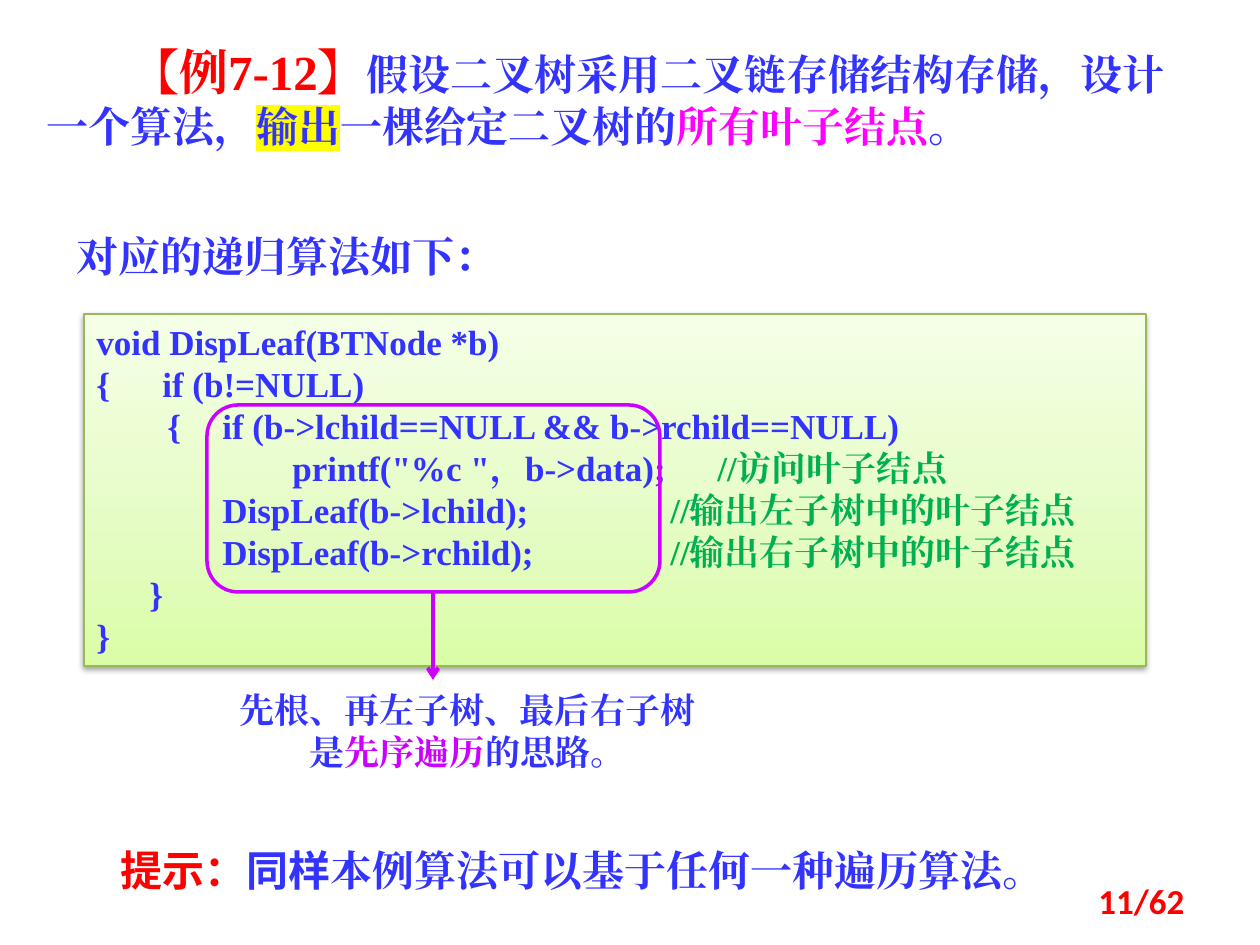
from lxml.etree import SubElement as Sub
from pptx import Presentation
from pptx.dml.color import RGBColor
from pptx.enum.shapes import MSO_CONNECTOR as Conn, MSO_SHAPE as Form
from pptx.enum.text import MSO_ANCHOR as Anchor, PP_ALIGN as Align
from pptx.oxml.ns import qn
from pptx.util import Pt

PX = 914400 // 126
BLUE, RED, GREEN = "3333FF", "FF0000", "00B050"
PURPLE, PINK, YELLOW = "CC00FF", "FF00FF", "FFFF00"
SERIF, SANS, PAGE = "Times New Roman", "Noto Sans CJK SC", "Calibri"


def px(*nums):
    return [int(n * PX) for n in nums]


def color(code):
    return RGBColor.from_string(code)


def node(root, tag, **attrs):
    return Sub(root, qn("a:" + tag), {k: str(v) for k, v in attrs.items()})


def assign(item, values):
    for name, value in values.items():
        setattr(item, name, value)


def add_run(para, text, size, code=BLUE, font=SERIF, mark=None):
    run = para.add_run()
    run.text = text
    assign(run.font, {"size": Pt(size), "name": font, "bold": True})
    run.font.color.rgb = color(code)
    props = run._r.get_or_add_rPr()
    if mark:
        light = node(props, "highlight")
        node(light, "srgbClr", val=mark)
        props.find(qn("a:solidFill")).addnext(light)
    face = node(props, "ea", typeface=font)
    props.find(qn("a:latin")).addnext(face)


def fill_text(shape, lines, size, form=None, anchor=Anchor.TOP):
    """Each line is a list of (text, format) runs."""
    frame = shape.text_frame
    assign(frame, {"word_wrap": True, "vertical_anchor": anchor})
    for i, runs in enumerate(lines):
        para = frame.add_paragraph() if i else frame.paragraphs[0]
        assign(para, form or {})
        for text, style in runs:
            add_run(para, text, **{"size": size, **style})
    return frame.paragraphs


def add_text(slide, box, lines, size, form=None, anchor=Anchor.TOP):
    return fill_text(slide.shapes.add_textbox(*px(*box)), lines, size, form, anchor)


def set_stops(para, stops):
    props = para._p.get_or_add_pPr()
    tabs = node(props, "tabLst")
    for pos in px(*stops):
        node(tabs, "tab", pos=pos, algn="l")


def add_panel(slide, box):
    panel = slide.shapes.add_shape(Form.RECTANGLE, *px(*box))
    panel.shadow.inherit = False
    panel.line.color.rgb = color("98B955")
    panel.line.width = Pt(0.75)
    props = panel._element.spPr
    # Three-stop vertical gradient
    grad = node(props, "gradFill", rotWithShape=1)
    props.find(qn("a:prstGeom")).addnext(grad)
    stops = node(grad, "gsLst")
    for pos, code in ((0, "DAFDA7"), (35, "E4FCC2"), (100, "F5FFE7")):
        node(node(stops, "gs", pos=pos * 1000), "srgbClr", val=code)
    node(grad, "lin", ang=270 * 60000, scaled=1)
    # Soft shadow below
    shade = node(props.find(qn("a:effectLst")), "outerShdw", blurRad=Pt(3.1),
                 dist=Pt(1.6), dir=90 * 60000, rotWithShape=0)
    node(node(shade, "srgbClr", val="000000"), "alpha", val=38000)
    return panel


def add_code(slide, box, rows):
    lines = [runs for _, runs in rows]
    paras = fill_text(add_panel(slide, box), lines, 20, {"alignment": Align.LEFT})
    for para, (stops, _) in zip(paras, rows):
        if stops:
            set_stops(para, stops)


def add_frame(slide, box):
    frame = slide.shapes.add_shape(Form.ROUNDED_RECTANGLE, *px(*box))
    frame.shadow.inherit = False
    frame.fill.background()
    frame.line.color.rgb = color(PURPLE)
    frame.line.width = Pt(2)


def add_arrow(slide, start, end):
    arrow = slide.shapes.add_connector(Conn.STRAIGHT, *px(*start, *end))
    arrow.line.color.rgb = color(PURPLE)
    arrow.line.width = Pt(2.25)
    node(arrow.line._get_or_add_ln(), "tailEnd", type="arrow")
    node(arrow._element.spPr, "effectLst")


def main():
    deck = Presentation()
    assign(deck, dict(zip(("slide_width", "slide_height"), px(1260, 945))))
    slide = deck.slides.add_slide(deck.slide_layouts[6])
    note = {"code": GREEN}

    # Algorithm listing, each row with its tab stops
    add_code(slide, (84, 314, 1062, 352), [
        ((), [("void DispLeaf(BTNode *b)", {})]),
        ((66,), [("{\tif (b!=NULL)", {})]),
        ((71, 126), [("\t{\tif (b->lchild==NULL && b->rchild==NULL)", {})]),
        ((196, 621), [("\tprintf(\"%c \"，b->data);\t", {}), ("//访问叶子结点", note)]),
        ((126, 574), [("\tDispLeaf(b->lchild);\t", {}), ("//输出左子树中的叶子结点", note)]),
        ((126, 574), [("\tDispLeaf(b->rchild);\t", {}), ("//输出右子树中的叶子结点", note)]),
        ((53,), [("\t}", {})]),
        ((), [("}", {})]),
    ])
    add_text(slide, (64, 214, 566, 68), [[("对应的递归算法如下：", {})]], 24,
             {"line_spacing": 1.2})

    # Highlighted steps and their remark
    add_frame(slide, (207, 405, 453, 187))
    add_arrow(slide, (433, 592), (433, 680))
    add_text(slide, (167, 682, 601, 97), [
        [("先根、再左子树、最后右子树", {})],
        [("是", {}), ("先序遍历", {"code": PURPLE}), ("的思路。", {})],
    ], 20, {"alignment": Align.CENTER})

    # Hint and page number
    add_text(slide, (108, 838, 971, 63), [[
        ("提示：", {"code": RED, "font": SANS}), ("同样", {"font": SANS}),
        ("本例算法可以基于任何一种遍历算法。", {}),
    ]], 24)
    add_text(slide, (903, 876, 294, 50), [[("11/62", {"code": RED, "font": PAGE})]],
             20, {"alignment": Align.RIGHT}, Anchor.MIDDLE)

    # Problem statement
    title = add_text(slide, (34, 35, 1177, 123), [[
        ("【例7-12】", {"size": 28, "code": RED}),
        ("假设二叉树采用二叉链存储结构存储，设计一个算法，", {}),
        ("输出", {"mark": YELLOW}), ("一棵给定二叉树的", {}),
        ("所有叶子结点", {"code": PINK}), ("。", {}),
    ]], 24)
    title[0]._p.get_or_add_pPr().set("indent", str(84 * PX))

    deck.save("out.pptx")


main()
